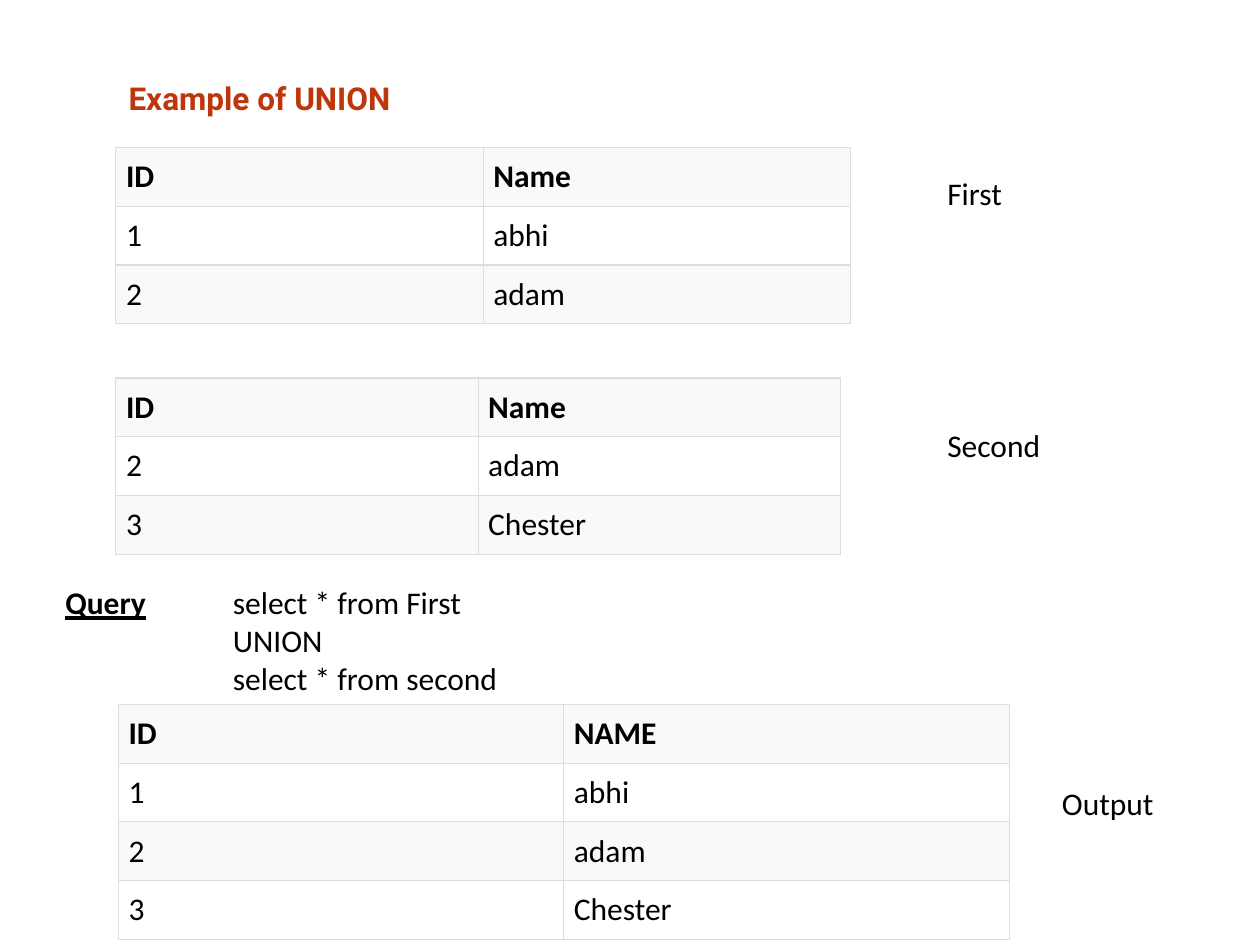
from dataclasses import dataclass

from lxml.etree import SubElement
from pptx import Presentation
from pptx.dml.color import RGBColor
from pptx.enum.text import MSO_ANCHOR, MSO_AUTO_SIZE, PP_ALIGN
from pptx.oxml.ns import qn
from pptx.util import Inches, Pt


@dataclass(frozen=True)
class Theme:
    title_font: str = "Roboto"
    body_font: str = "Calibri"
    size: float = 18
    title: str = "BF360C"
    text: str = "000000"
    border: str = "DDDDDD"
    border_width: float = 0.75
    bands: tuple = ("F9F9F9", "FFFFFF")


THEME = Theme()

TITLE = ("Example of UNION", (0.92, 0.58, 2.43, 0.4))

# left, top, width, rows (header first)
TABLES = [
    (0.92, 1.17, 5.83, [("ID", "Name"), ("1", "abhi"), ("2", "adam")]),
    (0.92, 3, 5.75, [("ID", "Name"), ("2", "adam"), ("3", "Chester")]),
    (0.94, 5.59, 7.07,
     [("ID", "NAME"), ("1", "abhi"), ("2", "adam"), ("3", "Chester")]),
]
ROW_HEIGHT = 1.4 / 3
CELL_MARGIN = 0.08

QUERY_HEADING = ("Query", (0.42, 4.58, 1, 0.4))
QUERY = ("select * from First\nUNION\nselect * from second", (1.75, 4.58, 5, 1.01))
TABLE_LABELS = [
    ("First", (7.42, 1.33, 1.5, 0.4)),
    ("Second", (7.42, 3.33, 1.5, 0.4)),
    ("Output", (8.33, 6.17, 1.08, 0.4)),
]


def format_runs(text_frame, font=THEME.body_font, color=THEME.text,
                bold=False, underline=False):
    for paragraph in text_frame.paragraphs:
        for run in paragraph.runs:
            run.font.name = font
            run.font.size = Pt(THEME.size)
            run.font.bold = bold
            run.font.underline = underline
            run.font.color.rgb = RGBColor.from_string(color)


def add_title(slide, text, box):
    title = slide.shapes.title
    title.left, title.top, title.width, title.height = map(Inches, box)
    frame = title.text_frame
    frame.text = text
    frame.word_wrap = False
    frame.auto_size = MSO_AUTO_SIZE.NONE
    frame.vertical_anchor = MSO_ANCHOR.TOP
    frame.paragraphs[0].alignment = PP_ALIGN.LEFT
    format_runs(frame, THEME.title_font, THEME.title, bold=True)


def add_text(slide, text, box, **style):
    frame = slide.shapes.add_textbox(*map(Inches, box)).text_frame
    frame.word_wrap = True
    frame.text = text
    format_runs(frame, **style)


def set_borders(cell):
    properties = cell._tc.get_or_add_tcPr()
    for position, side in enumerate(("a:lnL", "a:lnR", "a:lnT", "a:lnB")):
        line = SubElement(properties, qn(side), w=str(Pt(THEME.border_width)))
        fill = SubElement(line, qn("a:solidFill"))
        SubElement(fill, qn("a:srgbClr"), val=THEME.border)
        properties.insert(position, line)  # borders must precede the fill


def add_data_table(slide, left, top, width, rows):
    columns = len(rows[0])
    table = slide.shapes.add_table(
        len(rows), columns, Inches(left), Inches(top),
        Inches(width), Inches(ROW_HEIGHT * len(rows))).table
    for row_index, row in enumerate(rows):
        for column_index, value in enumerate(row):
            cell = table.cell(row_index, column_index)
            cell.text = value
            cell.margin_left = cell.margin_right = Inches(CELL_MARGIN)
            cell.margin_top = cell.margin_bottom = Inches(CELL_MARGIN)
            cell.fill.solid()
            cell.fill.fore_color.rgb = RGBColor.from_string(
                THEME.bands[row_index % 2])
            set_borders(cell)
            format_runs(cell.text_frame, bold=row_index == 0)


def main():
    presentation = Presentation()
    presentation.slide_width, presentation.slide_height = Inches(10), Inches(7.5)
    slide = presentation.slides.add_slide(presentation.slide_layouts[5])
    add_title(slide, *TITLE)
    for table in TABLES:
        add_data_table(slide, *table)
    add_text(slide, *QUERY_HEADING, bold=True, underline=True)
    add_text(slide, *QUERY)
    for label in TABLE_LABELS:
        add_text(slide, *label)
    presentation.save("out.pptx")


if __name__ == "__main__":
    main()
